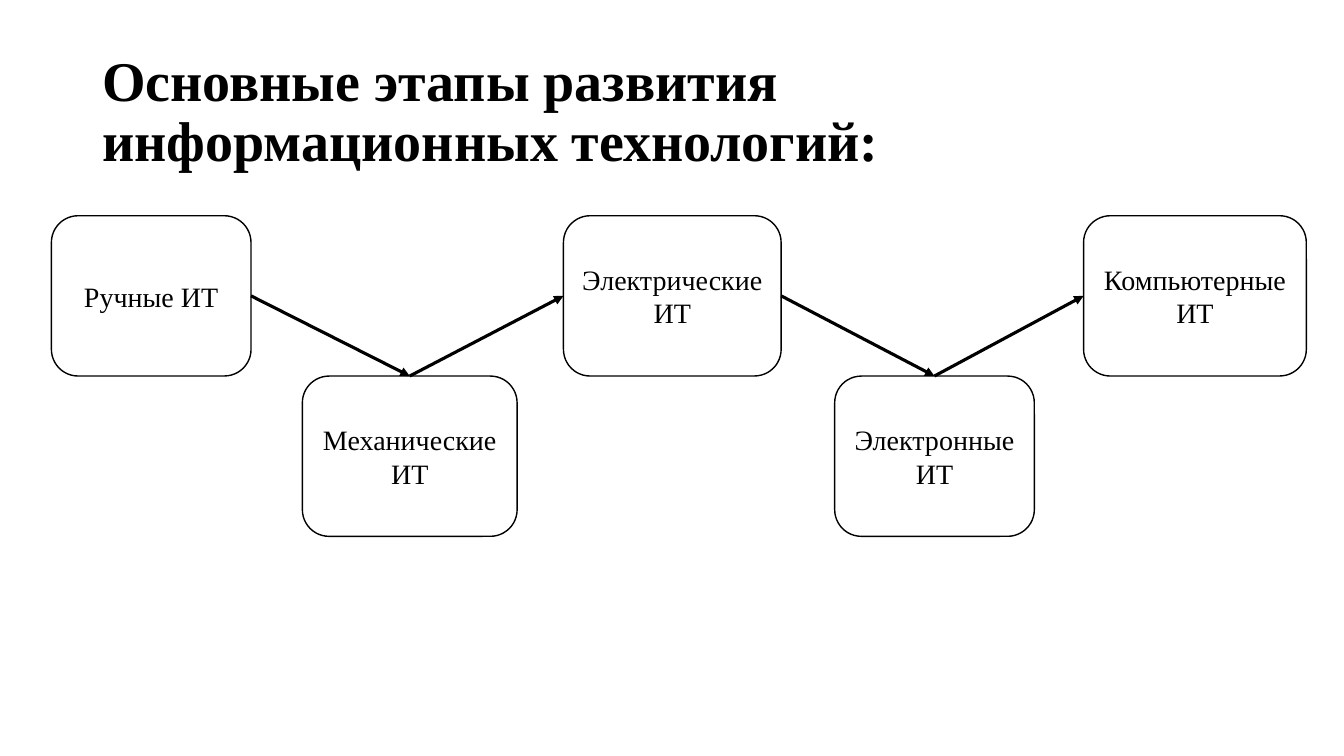
from dataclasses import dataclass
from itertools import pairwise

import pptx
import pptx.dml.color
import pptx.enum.shapes
import pptx.enum.text
import pptx.oxml.ns
import pptx.shapes.autoshape
import pptx.slide
import pptx.text.text
import pptx.util
from lxml import etree

Pt = pptx.util.Pt
COLORS = {"background": "FFFFFF", "box": "FFFFFF", "ink": "000000"}
FONT = "Times New Roman"
BOX_HEIGHT = 114.5
UPPER_TOP = 154.1
LOWER_TOP = UPPER_TOP + BOX_HEIGHT
TOP_SITE, LEFT_SITE, RIGHT_SITE = 0, 1, 3


@dataclass(frozen=True)
class Stage:
    text: str
    left: float
    width: float
    lower: bool = False


STAGES = [
    Stage("Ручные ИТ", 36.7, 142.6),
    Stage("Механические ИТ", 216, 153.4, lower=True),
    Stage("Электрические ИТ", 402.5, 155.5),
    Stage("Электронные ИТ", 596.2, 142.6, lower=True),
    Stage("Компьютерные ИТ", 774, 159.1),
]


def color(name: str) -> pptx.dml.color.RGBColor:
    return pptx.dml.color.RGBColor.from_string(COLORS[name])


def add_run(paragraph: pptx.text.text._Paragraph, text: str, size: float, bold: bool = False) -> None:
    run = paragraph.add_run()
    run.text = text
    run.font.name = FONT
    run.font.size = Pt(size)
    run.font.bold = bold
    run.font.color.rgb = color("ink")


def format_title(slide: pptx.slide.Slide) -> None:
    title = slide.shapes.title
    title.left, title.top, title.width, title.height = Pt(66), Pt(28.75), Pt(828), Pt(104.4)
    frame = title.text_frame
    frame.word_wrap = True
    frame.auto_size = pptx.enum.text.MSO_AUTO_SIZE.NONE
    frame.vertical_anchor = pptx.enum.text.MSO_ANCHOR.MIDDLE
    paragraph = frame.paragraphs[0]
    paragraph.alignment = pptx.enum.text.PP_ALIGN.LEFT
    paragraph.line_spacing = 0.9
    add_run(paragraph, "Основные этапы развития информационных технологий:", 40, bold=True)


def add_stage(slide: pptx.slide.Slide, stage: Stage) -> pptx.shapes.autoshape.Shape:
    top = LOWER_TOP if stage.lower else UPPER_TOP
    shape = slide.shapes.add_shape(
        pptx.enum.shapes.MSO_SHAPE.ROUNDED_RECTANGLE,
        Pt(stage.left), Pt(top), Pt(stage.width), Pt(BOX_HEIGHT),
    )
    shape.shadow.inherit = False
    shape.fill.solid()
    shape.fill.fore_color.rgb = color("box")
    shape.line.color.rgb = color("ink")
    shape.line.width = Pt(1)
    frame = shape.text_frame
    frame.word_wrap = True
    frame.vertical_anchor = pptx.enum.text.MSO_ANCHOR.MIDDLE
    paragraph = frame.paragraphs[0]
    paragraph.alignment = pptx.enum.text.PP_ALIGN.CENTER
    add_run(paragraph, stage.text, 20)
    return shape


def add_arrow(
    slide: pptx.slide.Slide,
    source: pptx.shapes.autoshape.Shape,
    target: pptx.shapes.autoshape.Shape,
) -> None:
    """Join an upper box's side to a lower box's top, in either direction."""
    descending = source.top < target.top
    arrow = slide.shapes.add_connector(pptx.enum.shapes.MSO_CONNECTOR.STRAIGHT, 0, 0, 0, 0)
    arrow.begin_connect(source, RIGHT_SITE if descending else TOP_SITE)
    arrow.end_connect(target, TOP_SITE if descending else LEFT_SITE)
    arrow.line.color.rgb = color("ink")
    arrow.line.width = Pt(2.25)
    properties = arrow._element.spPr
    line = properties.find(pptx.oxml.ns.qn("a:ln"))
    etree.SubElement(line, pptx.oxml.ns.qn("a:tailEnd"), type="triangle")
    etree.SubElement(properties, pptx.oxml.ns.qn("a:effectLst"))


def main() -> None:
    presentation = pptx.Presentation()
    presentation.slide_width, presentation.slide_height = Pt(960), Pt(540)
    title_only = presentation.slide_layouts.get_by_name("Title Only")
    slide = presentation.slides.add_slide(title_only)
    slide.background.fill.solid()
    slide.background.fill.fore_color.rgb = color("background")

    format_title(slide)
    boxes = [add_stage(slide, stage) for stage in STAGES]
    for source, target in pairwise(boxes):
        add_arrow(slide, source, target)

    presentation.save("out.pptx")


if __name__ == "__main__":
    main()
